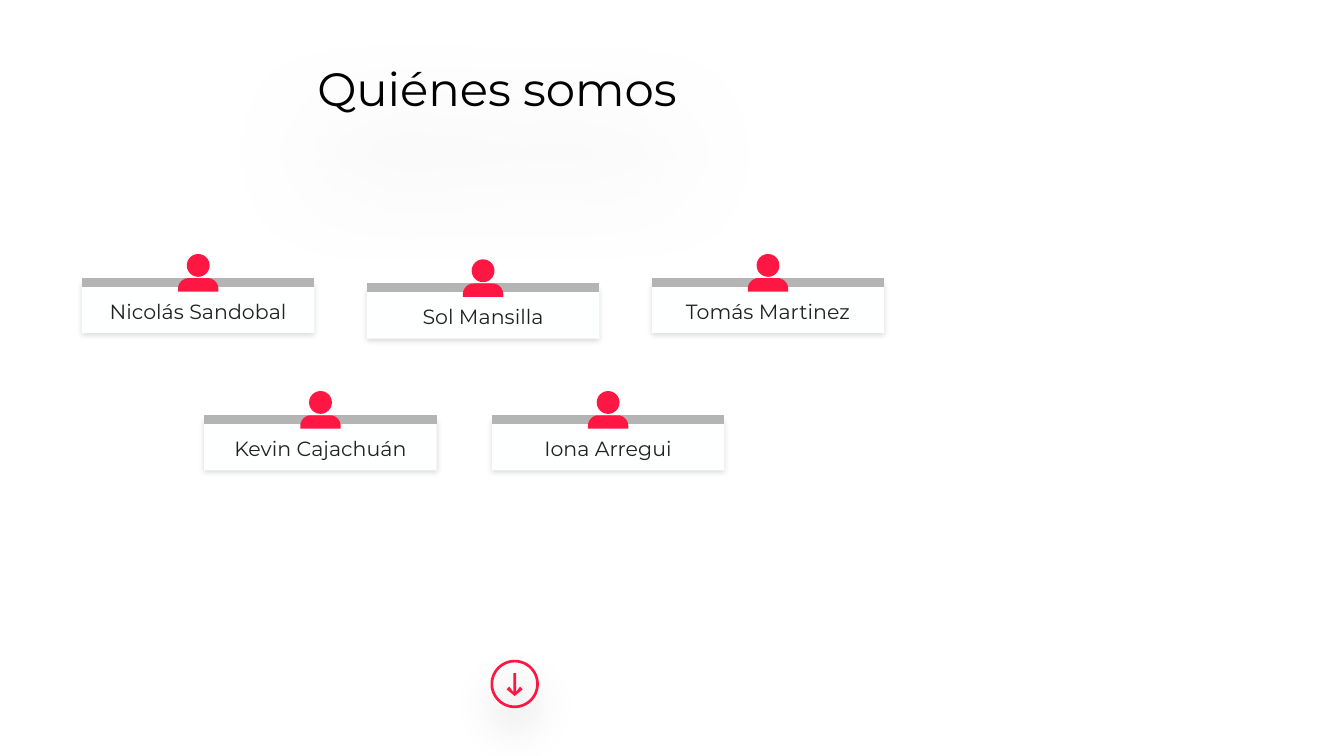
import math
from dataclasses import dataclass

from lxml import etree
from pptx import Presentation
from pptx.dml.color import RGBColor
from pptx.enum.shapes import MSO_CONNECTOR, MSO_SHAPE
from pptx.enum.text import MSO_ANCHOR, PP_ALIGN
from pptx.oxml.ns import qn
from pptx.util import Inches, Pt

RECT, OVAL = MSO_SHAPE.RECTANGLE, MSO_SHAPE.OVAL
STRAIGHT = MSO_CONNECTOR.STRAIGHT
CENTER, TOP = PP_ALIGN.CENTER, MSO_ANCHOR.TOP


@dataclass(frozen=True)
class Theme:
    accent: str = "FF1744"
    card: str = "FEFFFF"
    bar: str = "B4B4B4"
    title: str = "000000"
    name: str = "222222"
    font: str = "Montserrat"
    space_font: str = "Arial"
    title_size: int = 25
    space_size: int = 30
    name_size: int = 11
    bar_width: int = 5


THEME = Theme()
SLIDE_W = 10
SLIDE_H = SLIDE_W * 9 / 16
CARD_W, CARD_H = 1.73, 0.38
TEAM = [
    ("Nicolás Sandobal", 0.61, 2.1),
    ("Kevin Cajachuán", 1.52, 3.12),
    ("Tomás Martinez", 4.85, 2.1),
    ("Sol Mansilla", 2.73, 2.14),
    ("Iona Arregui", 3.66, 3.12),
]


def inches(*lengths):
    return [Inches(length) for length in lengths]


def paint(shape, color):
    shape.shadow.inherit = False
    shape.fill.solid()
    shape.fill.fore_color.rgb = RGBColor.from_string(color)
    shape.line.fill.background()


def cast_shadow(shape, alpha, blur, distance):
    """Drop a black shadow straight down; blur and distance in points."""
    shape.shadow.inherit = False
    effects = shape._element.spPr.find(qn("a:effectLst"))
    shadow = etree.SubElement(effects, qn("a:outerShdw"), {
        "blurRad": str(Pt(blur)), "dist": str(Pt(distance)),
        "dir": "5400000", "algn": "t", "rotWithShape": "0"})
    black = etree.SubElement(shadow, qn("a:srgbClr"), val="000000")
    etree.SubElement(black, qn("a:alpha"), val=str(alpha * 1000))


def arc(x, y, radius, start, end, steps):
    """Points on an arc around x, y; angles in degrees, clockwise."""
    angles = [math.radians(start + (end - start) * i / steps)
              for i in range(steps + 1)]
    return [(x + radius * math.cos(a), y + radius * math.sin(a)) for a in angles]


def add_outline(shapes, x, y, contours):
    """Add an accent-coloured shape from contours relative to x, y."""
    contours = [[inches(x + dx, y + dy) for dx, dy in contour]
                for contour in contours]
    builder = shapes.build_freeform(*contours[0][0], scale=1.0)
    for index, contour in enumerate(contours):
        if index:
            builder.move_to(*contour[0])
        builder.add_line_segments(contour[1:], close=True)
    outline = builder.convert_to_shape()
    paint(outline, THEME.accent)
    return outline


def add_label(shapes, box, insets):
    """Add a centred, wrapping text box and return it with its paragraph."""
    label = shapes.add_textbox(*inches(*box))
    frame = label.text_frame
    frame.word_wrap = True
    frame.vertical_anchor = TOP
    for side, inset in zip(("left", "top", "right", "bottom"), insets):
        setattr(frame, f"margin_{side}", Inches(inset))
    paragraph = frame.paragraphs[0]
    paragraph.alignment = CENTER
    return label, paragraph


def add_run(paragraph, text, color, size, font):
    run = paragraph.add_run()
    run.text = text
    for key, value in {"name": font, "size": Pt(size)}.items():
        setattr(run.font, key, value)
    run.font.color.rgb = RGBColor.from_string(color)


def add_title(slide, box):
    title, paragraph = add_label(slide.shapes, box, (0, 0.16, 0, 0))
    paragraph.line_spacing = 0.8
    add_run(paragraph, "Quiénes somos", THEME.title, THEME.title_size, THEME.font)
    add_run(paragraph, " ", THEME.title, THEME.space_size, THEME.space_font)
    cast_shadow(title, alpha=30, blur=60, distance=32)


def add_down_button(slide, center_x, center_y, radius):
    # Ring and arrow share one outline
    rings = [arc(0, 0, r, 0, 360, 72) for r in (radius, radius - 0.02)]
    arrow = [(-0.01, -0.08), (0.01, -0.08), (0.01, 0.06), (0.04, 0.02),
             (0.06, 0.04), (0, 0.09), (-0.06, 0.04), (-0.04, 0.02),
             (-0.01, 0.06)]
    button = add_outline(slide.shapes, center_x, center_y, [*rings, arrow])
    cast_shadow(button, alpha=30, blur=20, distance=12)


def add_member_card(slide, name, left, top, width, height):
    parts = slide.shapes.add_group_shape().shapes
    middle = left + width / 2

    # Card with grey bar along its top
    card = parts.add_shape(RECT, *inches(left, top, width, height))
    paint(card, THEME.card)
    cast_shadow(card, alpha=15, blur=3, distance=1)
    bar = parts.add_connector(STRAIGHT, *inches(left, top, left + width, top))
    bar.line.color.rgb = RGBColor.from_string(THEME.bar)
    bar.line.width = Pt(THEME.bar_width)
    etree.SubElement(bar._element.spPr, qn("a:effectLst"))

    # Name
    _, paragraph = add_label(parts, (left, top + 0.03, width, height), [0.1] * 4)
    add_run(paragraph, name, THEME.name, THEME.name_size, THEME.font)

    # Person icon
    head = parts.add_shape(OVAL, *inches(middle - 0.085, top - 0.21, 0.17, 0.17))
    paint(head, THEME.accent)
    shoulders = [(-0.15, 0.1), *arc(-0.07, 0.08, 0.08, 180, 270, 12),
                 *arc(0.07, 0.08, 0.08, 270, 360, 12), (0.15, 0.1)]
    add_outline(parts, middle, top - 0.03, [shoulders])


def main():
    deck = Presentation()
    deck.slide_width, deck.slide_height = inches(SLIDE_W, SLIDE_H)
    slide = deck.slides.add_slide(deck.slide_layouts[6])
    add_title(slide, (0.22, 0.31, 7.07, 0.68))
    add_down_button(slide, 3.83, 5.09, 0.18)
    for name, left, top in TEAM:
        add_member_card(slide, name, left, top, CARD_W, CARD_H)
    deck.save("out.pptx")


if __name__ == "__main__":
    main()
